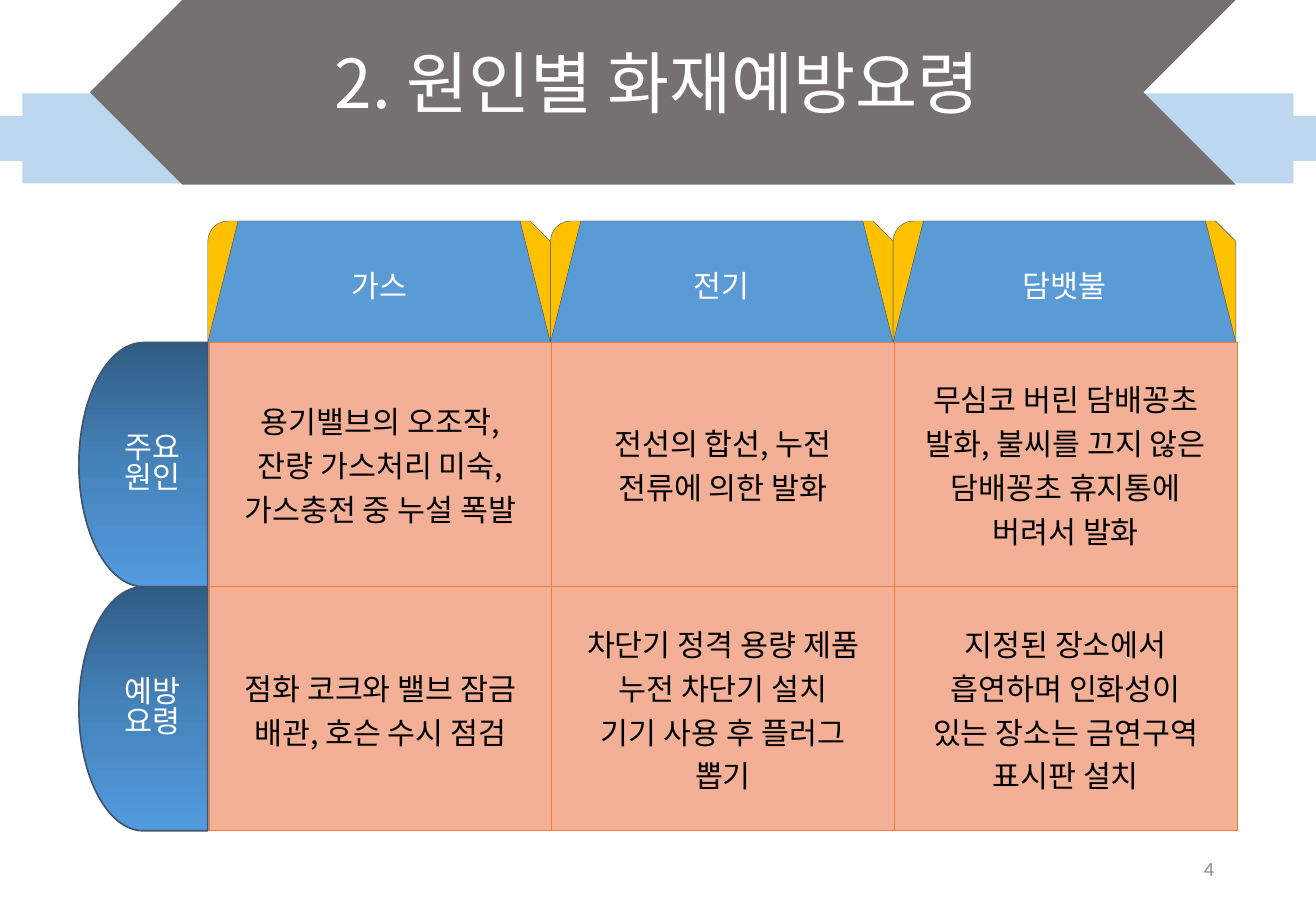
from copy import deepcopy

from lxml.etree import SubElement
from pptx import Presentation
from pptx.dml.color import RGBColor
from pptx.enum.shapes import MSO_SHAPE
from pptx.enum.text import MSO_ANCHOR, PP_ALIGN
from pptx.oxml.ns import qn
from pptx.util import Inches, Pt

KOREAN = "Noto Sans CJK KR"
COLORS = {
    "sky": "BDD7EE", "gray": "767171", "white": "FFFFFF", "black": "000000",
    "page": "8C8C8C", "slate": "44546A", "gold": "FFC000", "blue": "5B9BD5",
    "peach": "F4B096", "orange": "ED7D31",
    "dark": "305C84", "mid": "4583BB", "light": "529BDE",
}
HEADS = ["가스", "전기", "담뱃불"]
LABELS = ["주요\n원인", "예방\n요령"]
CELLS = [
    ["용기밸브의 오조작,\n잔량 가스처리 미숙,\n가스충전 중 누설 폭발",
     "전선의 합선, 누전\n전류에 의한 발화",
     "무심코 버린 담배꽁초\n발화, 불씨를 끄지 않은\n담배꽁초 휴지통에\n버려서 발화"],
    ["점화 코크와 밸브 잠금\n배관, 호슨 수시 점검",
     "차단기 정격 용량 제품\n누전 차단기 설치\n기기 사용 후 플러그\n뽑기",
     "지정된 장소에서\n흡연하며 인화성이\n있는 장소는 금연구역\n표시판 설치"],
]


def color(name):
    return RGBColor.from_string(COLORS[name])


def style(para, tone, size=18, face=KOREAN, align=PP_ALIGN.CENTER, space=None):
    para.alignment = align
    para.line_spacing = space
    font = para.font
    font.size, font.name = Pt(size), face
    font.color.rgb = color(tone)
    # East Asian typeface
    props = para._p.pPr.find(qn("a:defRPr"))
    SubElement(props, qn("a:ea"), typeface=face)


def write(frame, text, tone, **look):
    frame.word_wrap = True
    frame.vertical_anchor = MSO_ANCHOR.MIDDLE
    frame.text = text
    for para in frame.paragraphs:
        style(para, tone, **look)


def label(slide, box, text, tone, **look):
    area = slide.shapes.add_textbox(*map(Inches, box))
    write(area.text_frame, text, tone, **look)


def draw(slide, kind, box, fill=None, line=None, width=0.25, flip=False):
    shape = slide.shapes.add_shape(kind, *map(Inches, box))
    shape.shadow.inherit = False
    if fill:
        shape.fill.solid()
        shape.fill.fore_color.rgb = color(fill)
    if line:
        shape.line.color.rgb = color(line)
        shape.line.width = Pt(width)
    else:
        shape.line.fill.background()
    if flip:
        shape._element.spPr.xfrm.set("flipH", "1")
    return shape


def shade(shape, tones):
    """Fill with evenly spaced tones from top to bottom."""
    fill = shape.fill
    fill.gradient()
    fill.gradient_angle = 270
    stops = shape._element.spPr.find(".//" + qn("a:gsLst"))
    while len(stops) < len(tones):
        stops.insert(1, deepcopy(stops[0]))
    for i, (stop, tone) in enumerate(zip(fill.gradient_stops, tones)):
        stop.position = i / (len(tones) - 1)
        stop.color.rgb = color(tone)


def banner(slide, x, y, w, h):
    draw(slide, MSO_SHAPE.CROSS, (x, y + 0.77, w, 0.74), "sky")
    draw(slide, MSO_SHAPE.CHEVRON, (x + 0.74, y, 9.43, h), "gray", flip=True)
    label(slide, (x + 0.74, y - 0.01, 9.34, 1.45), "2. 원인별 화재예방요령",
          "white", size=40, space=0.9)


def tabs(slide, x, y, w, h):
    step = w / len(HEADS)
    for i, text in enumerate(HEADS):
        box = (x + i * step, y, step, h)
        draw(slide, MSO_SHAPE.SNIP_ROUND_RECTANGLE, box, "gold", "slate")
        front = draw(slide, MSO_SHAPE.TRAPEZOID, box, "blue", "slate")
        write(front.text_frame, text, "white")


def sides(slide, x, y, w, h):
    step = h / len(LABELS)
    for i, text in enumerate(LABELS):
        shape = draw(slide, MSO_SHAPE.FLOWCHART_DELAY,
                     (x, y + i * step, w, step), line="slate", width=1, flip=True)
        shade(shape, ["dark", "mid", "light"])
        write(shape.text_frame, text, "white", space=0.82)


def border(cell):
    props = cell._tc.get_or_add_tcPr()
    for i, side in enumerate(["lnL", "lnR", "lnT", "lnB"]):
        line = props.makeelement(qn("a:" + side), {"w": str(Pt(0.5))})
        fill = SubElement(line, qn("a:solidFill"))
        SubElement(fill, qn("a:srgbClr"), val=COLORS["orange"])
        props.insert(i, line)


def grid(slide, x, y, w, h):
    rows, cols = len(CELLS), len(HEADS)
    frame = slide.shapes.add_table(rows, cols, *map(Inches, (x, y, w, h)))
    table = frame.table
    table.first_row = table.horz_banding = False
    for col in table.columns:
        col.width = Inches(w / cols)
    for row, texts in zip(table.rows, CELLS):
        row.height = Inches(h / rows)
        for cell, text in zip(row.cells, texts):
            cell.fill.solid()
            cell.fill.fore_color.rgb = color("peach")
            cell.vertical_anchor = MSO_ANCHOR.MIDDLE
            para = cell.text_frame.paragraphs[0]
            para.text = text  # newlines become line breaks
            style(para, "black")
            border(cell)


def main():
    deck = Presentation()
    deck.slide_width, deck.slide_height = Inches(10.83), Inches(7.5)
    slide = deck.slides.add_slide(deck.slide_layouts[6])
    banner(slide, 0, 0, 10.83, 1.52)
    label(slide, (7.65, 6.95, 2.44, 0.4), "4", "page", size=12,
          face="Calibri", align=PP_ALIGN.RIGHT)
    sides(slide, 0.65, 2.82, 1.06, 4.02)
    tabs(slide, 1.71, 1.82, 8.46, 1)
    grid(slide, 1.72, 2.82, 8.46, 4.02)
    deck.save("out.pptx")


if __name__ == "__main__":
    main()
